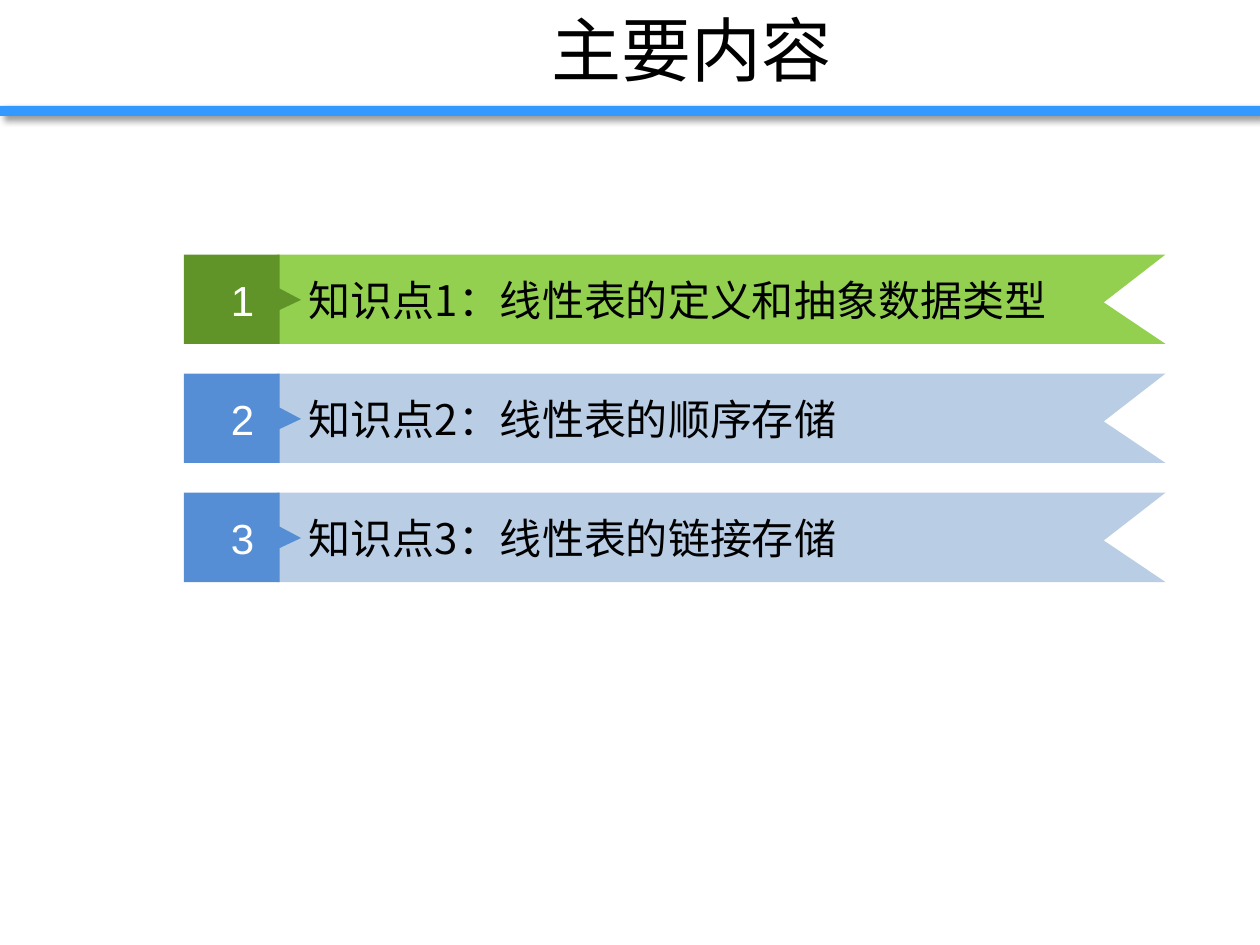
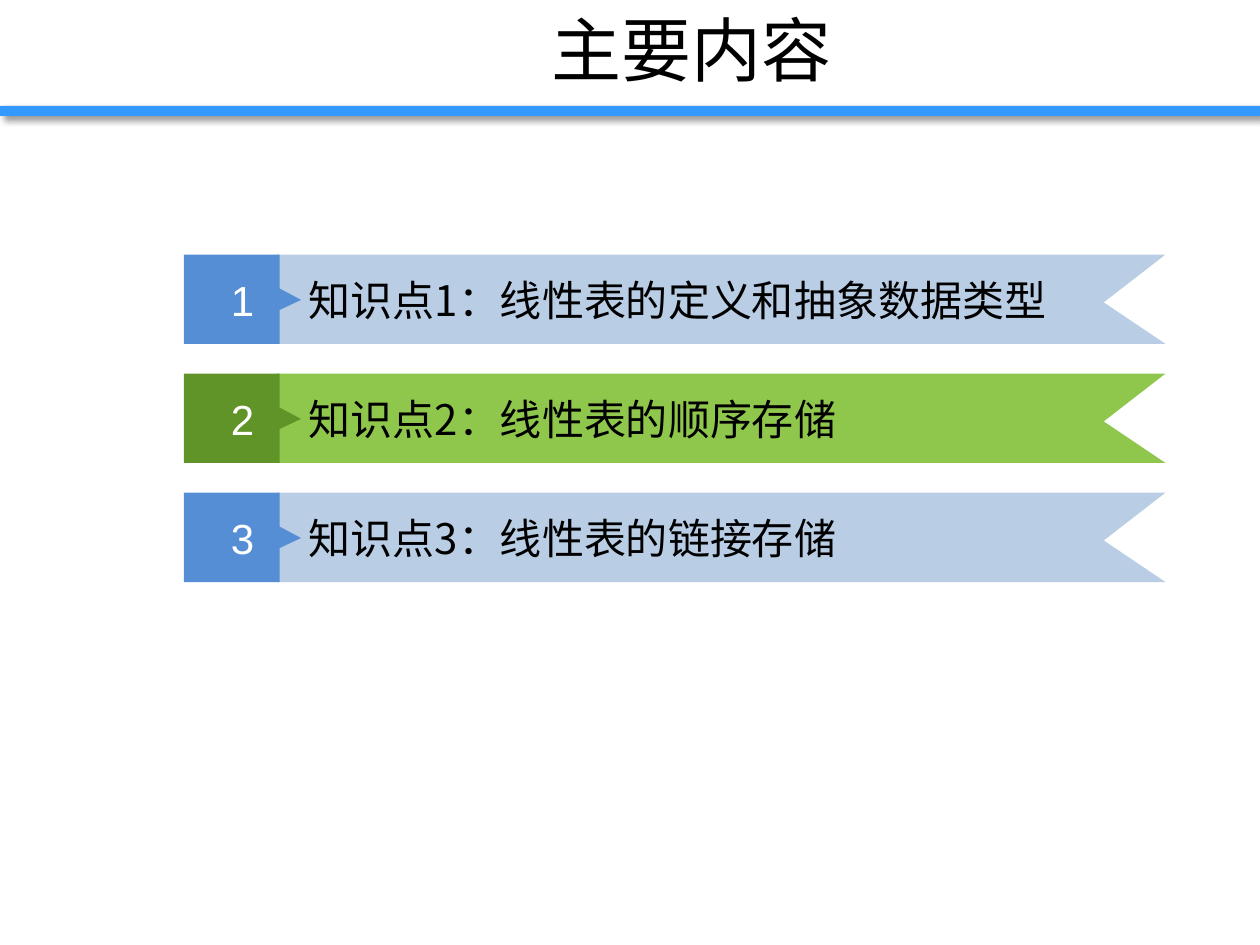
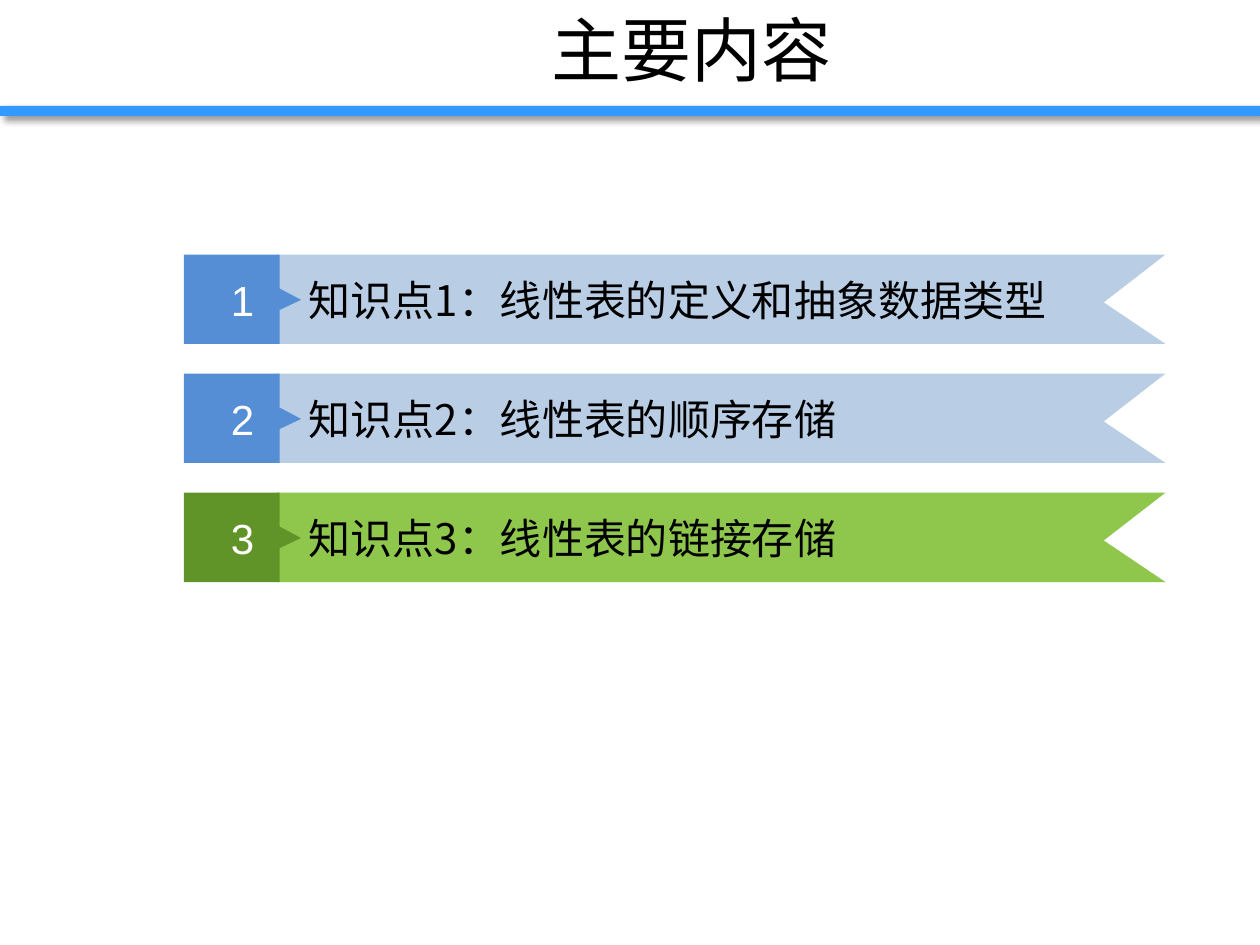
from lxml import etree
from pptx import Presentation
from pptx.dml.color import RGBColor
from pptx.enum import shapes, text
from pptx.oxml import ns
from pptx.util import Inches, Pt

# Shared look
BLACK = RGBColor(0x00, 0x00, 0x00)
WHITE = RGBColor(0xFF, 0xFF, 0xFF)
RULE_BLUE = RGBColor(0x33, 0x99, 0xFF)
TAG_BLUE = RGBColor(0x55, 0x8E, 0xD5)
RIBBON_BLUE = RGBColor(0xB9, 0xCD, 0xE5)
TAG_GREEN = RGBColor(0x61, 0x94, 0x28)
LIGHT_GREEN = RGBColor(0x93, 0xD0, 0x50)
SOFT_GREEN = RGBColor(0x8F, 0xC7, 0x4D)
CHINESE_FONT = "Noto Sans CJK SC"
NUMBER_FONT = "Arial"

# Topic list
TITLE = "主要内容"
TOPICS = [
    "知识点1：线性表的定义和抽象数据类型",
    "知识点2：线性表的顺序存储",
    "知识点3：线性表的链接存储",
]
ACTIVE_RIBBONS = [LIGHT_GREEN, SOFT_GREEN, SOFT_GREEN]
FIRST_TOP = 2.02
ROW_STEP = 0.945
TAG_LEFT = 1.46
RIBBON_LEFT = 2.2

# Outlines as offsets from the top left corner
RIBBON_OUTLINE = [(0, 0), (7.05, 0), (6.56, 0.38), (7.05, 0.71), (0, 0.71)]
TAG_OUTLINE = [(0, 0), (0.76, 0), (0.76, 0.27), (0.93, 0.36),
               (0.76, 0.44), (0.76, 0.71), (0, 0.71)]


def write_text(shape, words, *, size, font, color,
               align=text.PP_ALIGN.LEFT, left_inset=0.1):
    frame = shape.text_frame
    frame.word_wrap = True
    frame.vertical_anchor = text.MSO_ANCHOR.MIDDLE
    frame.margin_left = Inches(left_inset)
    para = frame.paragraphs[0]
    para.alignment = align
    span = para.add_run()
    span.text = words
    span.font.size = Pt(size)
    span.font.color.rgb = color
    span.font.name = font
    east_asian = etree.SubElement(span.font._element, ns.qn("a:ea"))
    east_asian.set("typeface", font)


def paint(shape, color):
    shape.shadow.inherit = False
    shape.fill.solid()
    shape.fill.fore_color.rgb = color
    shape.line.fill.background()


def add_soft_shadow(shape):
    effects = shape._element.spPr.find(ns.qn("a:effectLst"))
    shadow = etree.SubElement(effects, ns.qn("a:outerShdw"), blurRad=str(Pt(4)),
                              dist=str(Pt(3)), dir="2700000", algn="tl", rotWithShape="0")
    tone = etree.SubElement(shadow, ns.qn("a:srgbClr"), val=str(BLACK))
    etree.SubElement(tone, ns.qn("a:alpha"), val="40000")


def add_header(page):
    rule = page.shapes.add_shape(shapes.MSO_SHAPE.RECTANGLE, Inches(0), Inches(0.84),
                                 Inches(10), Inches(0.08))
    paint(rule, RULE_BLUE)
    add_soft_shadow(rule)
    box = page.shapes.add_textbox(Inches(0.98), Inches(0), Inches(9.02), Inches(0.77))
    write_text(box, TITLE, size=40, font=CHINESE_FONT, color=BLACK,
               align=text.PP_ALIGN.CENTER)


def add_outline(group, outline, left, top, color):
    points = [(Inches(left + x), Inches(top + y)) for x, y in outline]
    builder = group.shapes.build_freeform(*points[0])
    builder.add_line_segments(points[1:], close=True)
    shape = builder.convert_to_shape()
    paint(shape, color)
    return shape


def add_topic(page, number, topic, top, tag_color, ribbon_color):
    group = page.shapes.add_group_shape()
    ribbon = add_outline(group, RIBBON_OUTLINE, RIBBON_LEFT, top, ribbon_color)
    write_text(ribbon, topic, size=24, font=CHINESE_FONT, color=BLACK, left_inset=0.25)
    tag = add_outline(group, TAG_OUTLINE, TAG_LEFT, top, tag_color)
    write_text(tag, str(number), size=24, font=NUMBER_FONT, color=WHITE,
               align=text.PP_ALIGN.CENTER)


def add_agenda(deck, active, active_ribbon):
    page = deck.slides.add_slide(deck.slide_layouts[6])
    add_header(page)
    for row, topic in enumerate(TOPICS):
        colors = (TAG_GREEN, active_ribbon) if row == active else (TAG_BLUE, RIBBON_BLUE)
        add_topic(page, row + 1, topic, FIRST_TOP + row * ROW_STEP, *colors)


def main():
    deck = Presentation()
    deck.slide_width, deck.slide_height = Inches(10), Inches(7.5)
    # One agenda slide per topic, with that topic highlighted
    for active, ribbon_color in enumerate(ACTIVE_RIBBONS):
        add_agenda(deck, active, ribbon_color)
    deck.save("out.pptx")


if __name__ == "__main__":
    main()
